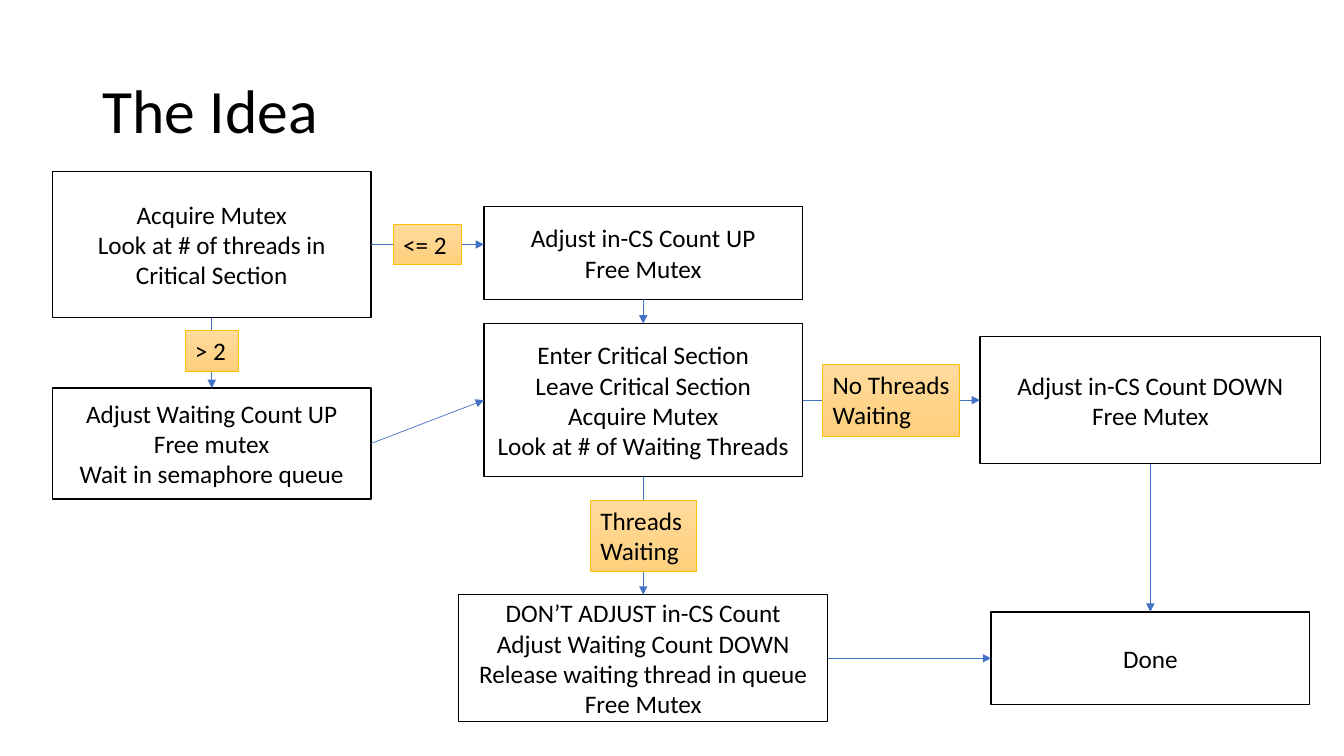
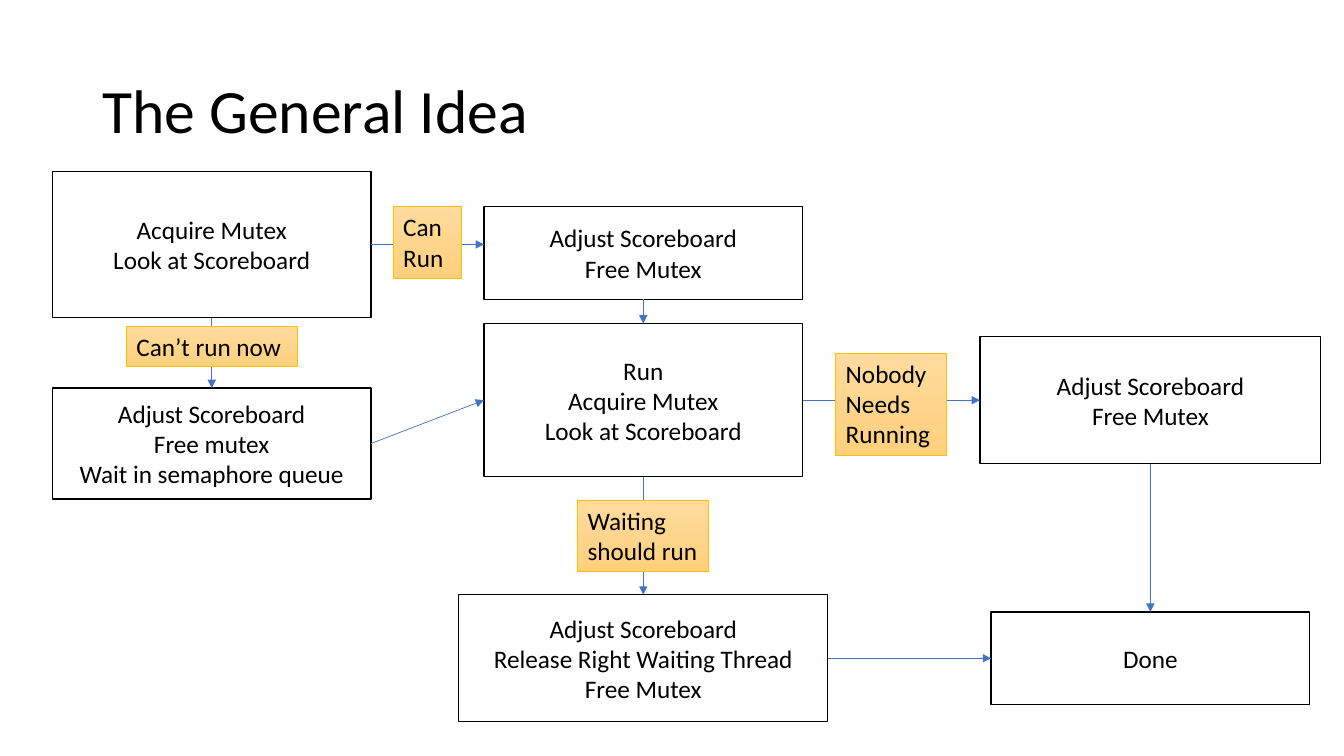
import lxml.etree
import pptx
import pptx.dml.color
import pptx.enum.shapes
import pptx.enum.text
import pptx.oxml.ns
import pptx.util

RGB = pptx.dml.color.RGBColor
ALIGN = pptx.enum.text.PP_ALIGN
ANCHOR = pptx.enum.text.MSO_ANCHOR
FIT = pptx.enum.text.MSO_AUTO_SIZE
RECT = pptx.enum.shapes.MSO_SHAPE.RECTANGLE
STRAIGHT = pptx.enum.shapes.MSO_CONNECTOR.STRAIGHT
Pt = pptx.util.Pt
qn = pptx.oxml.ns.qn

BLACK = RGB(0x00, 0x00, 0x00)
WHITE = RGB(0xFF, 0xFF, 0xFF)
BLUE = RGB(0x44, 0x72, 0xC4)
GOLD = RGB(0xFF, 0xC0, 0x00)
LIGHT = RGB(0xFF, 0xDB, 0x9E)
DEEP = RGB(0xFF, 0xD0, 0x7C)

PX = 9144  # EMU in one px: 100 px to the inch
SIZE = (1333, 750)
HEAD = (92, 40, 1150, 145)
AREA = (52, 170, 1258, 546)
TOP, LEFT, BOTTOM, RIGHT = range(4)

BODY = {"size": Pt(18), "name": "Calibri"}
TITLE = {"size": Pt(44), "name": "Calibri"}

# Step boxes, measured from the corner of the chart area
STEPS = {
    "start": (0, 0, 316, 145),
    "wait": (0, 215, 316, 110),
    "admit": (428, 35, 316, 92),
    "run": (428, 151, 316, 152),
    "down": (920, 164, 338, 126),
    "wake": (403, 420, 366, 126),
    "done": (931, 437, 316, 92),
}

# From step and side, to step and side; None ends level with the start
LINKS = [
    ("start", BOTTOM, "wait", TOP),
    ("start", RIGHT, "admit", None),
    ("admit", BOTTOM, "run", TOP),
    ("wait", RIGHT, "run", LEFT),
    ("run", RIGHT, "down", LEFT),
    ("run", BOTTOM, "wake", TOP),
    ("down", BOTTOM, "done", TOP),
    ("wake", RIGHT, "done", LEFT),
]

# Tags: the link's two steps, then lines, width, height, shift down
DECK = [
    ("The Idea", {
        "start": ["Acquire Mutex", "Look at # of threads in Critical Section"],
        "wait": ["Adjust Waiting Count UP", "Free mutex",
                 "Wait in semaphore queue"],
        "admit": ["Adjust in-CS Count UP", "Free Mutex"],
        "run": ["Enter Critical Section", "Leave Critical Section",
                "Acquire Mutex", "Look at # of Waiting Threads"],
        "down": ["Adjust in-CS Count DOWN", "Free Mutex"],
        "wake": ["DON’T ADJUST in-CS Count", "Adjust Waiting Count DOWN",
                 "Release waiting thread in queue", "Free Mutex"],
        "done": ["Done"],
    }, {
        ("start", "wait"): (["> 2"], 53, 40, -2),
        ("start", "admit"): (["<= 2"], 68, 40, 0),
        ("run", "down"): (["No Threads Waiting"], 136, 71, 0),
        ("run", "wake"): (["Threads Waiting"], 105, 71, 0),
    }),
    ("The General Idea", {
        "start": ["Acquire Mutex", "Look at Scoreboard"],
        "wait": ["Adjust Scoreboard", "Free mutex",
                 "Wait in semaphore queue"],
        "admit": ["Adjust Scoreboard", "Free Mutex"],
        "run": ["Run", "Acquire Mutex", "Look at Scoreboard"],
        "down": ["Adjust Scoreboard", "Free Mutex"],
        "wake": ["Adjust Scoreboard", "Release Right Waiting Thread",
                 "Free Mutex"],
        "done": ["Done"],
    }, {
        ("start", "wait"): (["Can’t run now"], 169, 40, -6),
        ("start", "admit"): (["Can", "Run"], 68, 71, -2),
        ("run", "down"): (["Nobody Needs Running"], 110, 101, 4),
        ("run", "wake"): (["Waiting should run"], 130, 71, 0),
    }),
]


def emu(box):
    return [n * PX for n in box]


def write(shape, lines, font, align, anchor):
    """Fill the shape with one paragraph per line."""
    frame = shape.text_frame
    frame.word_wrap = True
    frame.vertical_anchor = anchor
    frame.text = "\n".join(lines)
    for para in frame.paragraphs:
        para.alignment = align
        for key, value in font.items():
            setattr(para.font, key, value)
        para.font.color.rgb = BLACK


def rect(slide, box, color, width):
    """Add a bare rectangle, its box in EMU, with only an outline set."""
    shape = slide.shapes.add_shape(RECT, *box)
    shape.shadow.inherit = False
    shape.line.color.rgb = color
    shape.line.width = Pt(width)
    return shape


def head(slide, box, text):
    shape = slide.shapes.add_textbox(*emu(box))
    write(shape, [text], TITLE, ALIGN.LEFT, ANCHOR.MIDDLE)
    shape.text_frame.paragraphs[0].line_spacing = 0.9


def step(slide, box, lines):
    shape = rect(slide, emu(box), BLACK, 1)
    shape.fill.solid()
    shape.fill.fore_color.rgb = WHITE
    write(shape, lines, BODY, ALIGN.CENTER, ANCHOR.MIDDLE)
    return shape


def link(slide, first, side, last, end):
    """Draw an arrow between two steps."""
    level = first.top + first.height // 2
    line = slide.shapes.add_connector(
        STRAIGHT, first.left, level, last.left, level)
    line.begin_connect(first, side)
    if end is not None:
        line.end_connect(last, end)
    line.line.color.rgb = BLUE
    line.line.width = Pt(0.5)
    props = line._element.spPr
    tail = lxml.etree.SubElement(props.find(qn("a:ln")), qn("a:tailEnd"))
    tail.set("type", "triangle")
    lxml.etree.SubElement(props, qn("a:effectLst"))
    return line


def tag(slide, line, lines, width, height, shift):
    """Centre a label on an arrow."""
    wide, high = emu((width, height))
    left = (line.begin_x + line.end_x - wide) // 2
    top = (line.begin_y + line.end_y - high) // 2 + shift * PX
    shape = rect(slide, (left, top, wide, high), GOLD, 0.5)
    shape.fill.gradient()
    shape.fill.gradient_angle = 270
    for stop, color in zip(shape.fill.gradient_stops, (LIGHT, DEEP)):
        stop.color.rgb = color
    write(shape, lines, BODY, ALIGN.LEFT, ANCHOR.TOP)
    shape.text_frame.auto_size = FIT.SHAPE_TO_FIT_TEXT


def flow(slide, area, texts, tags):
    """Lay out the flow chart in its area."""
    x, y = area[:2]
    steps = {}
    for name, (left, top, wide, high) in STEPS.items():
        box = (x + left, y + top, wide, high)
        steps[name] = step(slide, box, texts[name])
    for first, side, last, end in LINKS:
        line = link(slide, steps[first], side, steps[last], end)
        if (first, last) in tags:
            tag(slide, line, *tags[first, last])


def main():
    deck = pptx.Presentation()
    deck.slide_width, deck.slide_height = emu(SIZE)
    for title, texts, tags in DECK:
        slide = deck.slides.add_slide(deck.slide_layouts[6])
        head(slide, HEAD, title)
        flow(slide, AREA, texts, tags)
    deck.save("out.pptx")


if __name__ == "__main__":
    main()
